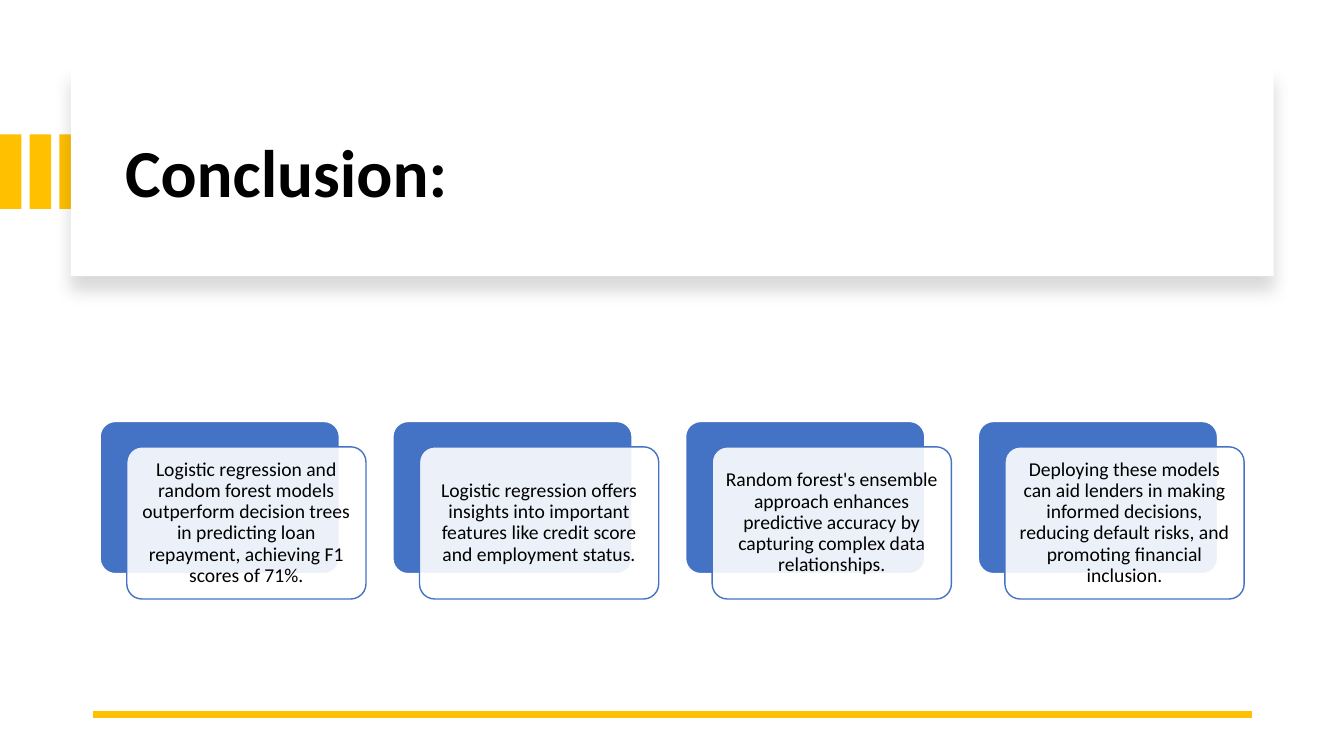
from dataclasses import dataclass

from lxml.etree import SubElement
from pptx import Presentation
from pptx.dml.color import RGBColor as RGB
from pptx.enum.shapes import MSO_CONNECTOR as Connector, MSO_SHAPE as Shape
from pptx.enum.text import MSO_ANCHOR as Anchor, MSO_AUTO_SIZE as AutoSize, PP_ALIGN as Align
from pptx.oxml.ns import qn
from pptx.util import Inches, Pt


@dataclass
class Theme:
    accent: RGB = RGB(0xFF, 0xC0, 0x00)
    card: RGB = RGB(0x44, 0x72, 0xC4)
    paper: RGB = RGB(0xFF, 0xFF, 0xFF)
    ink: RGB = RGB(0x00, 0x00, 0x00)
    font: str = "Calibri"
    title_size: int = 48
    body_size: int = 14


theme = Theme()
prs = Presentation()
prs.slide_width, prs.slide_height = Inches(13.33), Inches(7.5)
slide = prs.slides.add_slide(prs.slide_layouts[5])


def share(*percents):
    sides = (prs.slide_width, prs.slide_height)
    return [round(sides[i % 2] * percent / 100) for i, percent in enumerate(percents)]


def write(holder, text, size, align, bold=False, inset=None):
    frame = holder.text_frame
    frame.word_wrap = True
    frame.auto_size = AutoSize.NONE
    frame.vertical_anchor = Anchor.MIDDLE
    if inset is not None:
        frame.margin_left = frame.margin_right = Inches(inset)
        frame.margin_top = frame.margin_bottom = Inches(inset)
    paragraph = frame.paragraphs[0]
    paragraph.alignment = align
    paragraph.line_spacing = 0.9
    run = paragraph.add_run()
    run.text = text
    run.font.name = theme.font
    run.font.size = Pt(size)
    run.font.bold = bold
    run.font.color.rgb = theme.ink


for i in range(3):
    stripe = slide.shapes.add_shape(Shape.RECTANGLE, *share(2.21 * i, 17.78, 1.6, 9.85))
    stripe.shadow.inherit = False
    stripe.fill.solid()
    stripe.fill.fore_color.rgb = theme.accent
    stripe.line.fill.background()

panel = slide.shapes.add_shape(Shape.RECTANGLE, *share(5.28, 8.95, 89.48, 27.6))
panel.shadow.inherit = False
panel.fill.solid()
panel.fill.fore_color.rgb = theme.paper
panel.line.fill.background()
effects = panel.element.spPr.find(qn("a:effectLst"))
shadow = SubElement(effects, qn("a:outerShdw"), blurRad=str(Pt(11)), dist=str(Pt(10)),
                    dir="5400000", algn="t", rotWithShape="0")
shadow_color = SubElement(shadow, qn("a:srgbClr"), val=str(theme.ink))
SubElement(shadow_color, qn("a:alpha"), val="15000")

title = slide.shapes.title
title.left, title.top, title.width, title.height = share(8.55, 11.87, 83.48, 22.67)
write(title, "Conclusion:", theme.title_size, Align.LEFT, bold=True)
title.element.getparent().append(title.element)

footer_rule = slide.shapes.add_connector(Connector.STRAIGHT, *share(93.15, 94.53, 6.9, 94.53))
footer_rule.line.color.rgb = theme.accent
footer_rule.line.width = Pt(4.5)
SubElement(footer_rule.element.spPr, qn("a:effectLst"))

findings = [
    "Logistic regression and random forest models outperform decision trees in predicting "
    "loan repayment, achieving F1 scores of 71%.",
    "Logistic regression offers insights into important features like credit score and "
    "employment status.",
    "Random forest's ensemble approach enhances predictive accuracy by capturing complex "
    "data relationships.",
    "Deploying these models can aid lenders in making informed decisions, reducing default "
    "risks, and promoting financial inclusion.",
]
card_layers = [
    (0, 0, theme.card, theme.paper),
    (1.98, 3.35, theme.paper, theme.card),
]
for column, finding in enumerate(findings):
    for shift_x, shift_y, fill, outline in card_layers:
        card = slide.shapes.add_shape(
            Shape.ROUNDED_RECTANGLE,
            *share(7.45 + 21.78 * column + shift_x, 55.75 + shift_y, 17.8, 20.13))
        card.adjustments[0] = 0.1
        card.shadow.inherit = False
        card.fill.solid()
        card.fill.fore_color.rgb = fill
        card.line.color.rgb = outline
        card.line.width = Pt(1)
    card_color = card.element.spPr.find(qn("a:solidFill")).find(qn("a:srgbClr"))
    SubElement(card_color, qn("a:alpha"), val="90000")
    write(card, finding, theme.body_size, Align.CENTER, inset=0.06)

prs.save("out.pptx")
